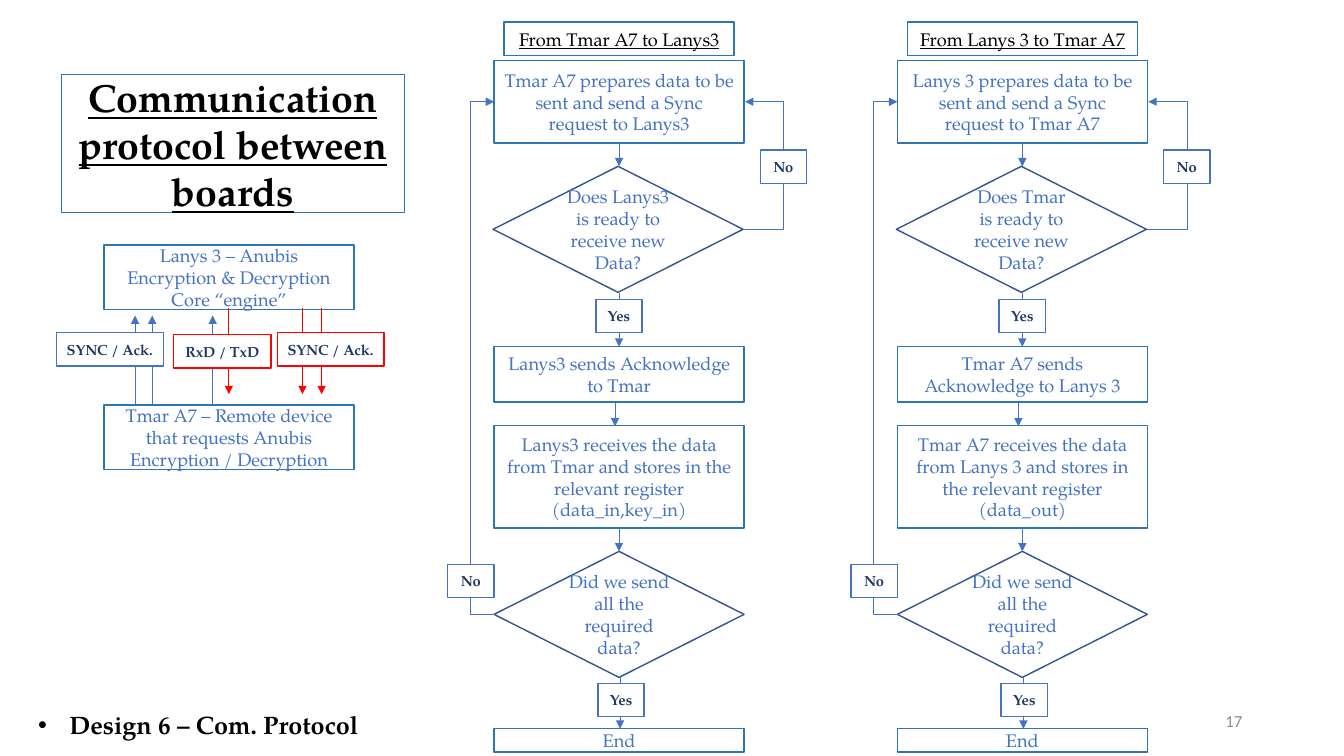
from lxml import etree
from pptx import Presentation
from pptx.dml.color import RGBColor
from pptx.enum import shapes, text
from pptx.oxml import ns
from pptx.util import Inches, Pt

FONT = "TeX Gyre Pagella"
BLUE, BOX_BLUE, DIAMOND_BLUE = "4472C4", "2E75B6", "325491"
NAVY, RED, BLACK, WHITE, GREY = "203864", "FF0000", "000000", "FFFFFF", "8C8C8C"
RECTANGLE = shapes.MSO_SHAPE.RECTANGLE
DIAMOND = shapes.MSO_SHAPE.DIAMOND
STRAIGHT = shapes.MSO_CONNECTOR.STRAIGHT
ELBOW = shapes.MSO_CONNECTOR.ELBOW

presentation = Presentation()
presentation.slide_width, presentation.slide_height = Inches(13.33), Inches(7.5)
slide = presentation.slides.add_slide(presentation.slide_layouts[5])


def add_box(place, words, kind=RECTANGLE, line=BOX_BLUE, color=BLUE, size=13,
            bold=False, underline=False, fill=None, shape=None):
    """Add an outlined box with centred text, or format the shape that is given."""
    left, top, width, height = (Inches(length) for length in place)
    if shape is None:
        shape = slide.shapes.add_shape(kind, left, top, width, height)
        shape.shadow.inherit = False
    else:
        shape.left, shape.top, shape.width, shape.height = left, top, width, height
    if fill:
        shape.fill.solid()
        shape.fill.fore_color.rgb = RGBColor.from_string(fill)
    else:
        shape.fill.background()
    shape.line.color.rgb = RGBColor.from_string(line)
    shape.line.width = Pt(1)
    frame = shape.text_frame
    frame.text = words
    frame.word_wrap = True
    frame.auto_size = text.MSO_AUTO_SIZE.NONE
    frame.vertical_anchor = text.MSO_ANCHOR.MIDDLE
    paragraph = frame.paragraphs[0]
    paragraph.alignment = text.PP_ALIGN.CENTER
    font = paragraph.font
    font.name, font.size, font.bold, font.underline = FONT, Pt(size), bold, underline
    font.color.rgb = RGBColor.from_string(color)


def add_arrow(start, end, color=BLUE, turn_x=None):
    """Add an arrow; with turn_x it is an elbow whose upright part stands there."""
    connector = slide.shapes.add_connector(
        STRAIGHT if turn_x is None else ELBOW, *(Inches(value) for value in start + end))
    connector.line.color.rgb = RGBColor.from_string(color)
    connector.line.width = Pt(0.5)
    properties = connector.element.spPr
    etree.SubElement(properties.find(ns.qn("a:ln")), ns.qn("a:tailEnd"), type="triangle")
    etree.SubElement(properties, ns.qn("a:effectLst"))
    if turn_x is not None:
        ratio = (turn_x - start[0]) / (end[0] - start[0])
        guides = properties.find(ns.qn("a:prstGeom")).get_or_add_avLst()
        etree.SubElement(guides, ns.qn("a:gd"), name="adj1", fmla=f"val {round(ratio * 100000)}")


# Title and board overview
add_box((0.61, 0.74, 3.4, 1.37), "Communication protocol between boards", color=BLACK,
        size=28, bold=True, underline=True, shape=slide.shapes.title)
add_box((1.03, 2.43, 2.48, 0.64), "Lanys 3 – Anubis Encryption & Decryption Core “engine”")
add_box((1.03, 4.02, 2.48, 0.64),
        "Tmar A7 – Remote device that requests Anubis Encryption / Decryption")
for x in (1.34, 1.51, 2.11):
    add_arrow((x, 4.02), (x, 3.13))
for x in (2.27, 3, 3.19):
    add_arrow((x, 3.06), (x, 3.91), RED)
for left, top, width, words, line in (
        (1.72, 3.32, 0.97, "RxD / TxD", RED),
        (2.75, 3.3, 1.06, "SYNC / Ack.", RED),
        (0.56, 3.3, 1.06, "SYNC / Ack.", BLUE)):
    add_box((left, top, width, 0.33), words, line=line, color=NAVY, size=10.5,
            bold=True, fill=WHITE)

# One flowchart for each direction
STEPS = (  # shape, offset from the column, top, height, outline
    (RECTANGLE, 0, 0.6, 0.82, BOX_BLUE),
    (DIAMOND, -0.01, 1.65, 1.25, DIAMOND_BLUE),
    (RECTANGLE, 0, 3.44, 0.55, BOX_BLUE),
    (RECTANGLE, 0, 4.22, 1.02, BOX_BLUE),
    (DIAMOND, 0, 5.47, 1.25, DIAMOND_BLUE),
    (RECTANGLE, 0, 7.23, 0.23, BOX_BLUE),
)
DOWN_ARROWS = ((1.24, 1.42, 1.65), (1.24, 2.91, 3.44), (1.2, 4, 4.23),
               (1.24, 5.24, 5.47), (1.25, 6.72, 7.23))
ANSWERS = ((2.64, 1.49, "No"), (1.01, 2.97, "Yes"), (-0.46, 5.6, "No"), (1.03, 6.78, "Yes"))
FLOWS = (
    (4.9, "From Tmar A7 to Lanys3", (
        "Tmar A7 prepares data to be sent and send a Sync request to Lanys3",
        "Does Lanys3 is ready to receive new Data?",
        "Lanys3 sends Acknowledge to Tmar",
        "Lanys3 receives the data from Tmar and stores in the relevant register (data_in,key_in)",
        "Did we send all the required data?",
        "End")),
    (8.9, "From Lanys 3 to Tmar A7", (
        "Lanys 3 prepares data to be sent and send a Sync request to Tmar A7",
        "Does Tmar is ready to receive new Data?",
        "Tmar A7 sends Acknowledge to Lanys 3",
        "Tmar A7 receives the data from Lanys 3 and stores in the relevant register (data_out)",
        "Did we send all the required data?",
        "End")),
)
for column, heading, step_words in FLOWS:
    add_box((column + 0.1, 0.22, 2.28, 0.33), heading, color=BLACK, underline=True)
    for (kind, offset, top, height, line), words in zip(STEPS, step_words):
        add_box((column + offset, top, 2.48, height), words, kind, line)
    for offset, top, bottom in DOWN_ARROWS:
        add_arrow((column + offset, top), (column + offset, bottom))
    add_arrow((column + 2.48, 2.28), (column + 2.49, 1.01), turn_x=column + 2.88)
    add_arrow((column + 0.01, 6.1), (column, 1.01), turn_x=column - 0.24)
    for offset, top, words in ANSWERS:
        add_box((column + offset, top, 0.46, 0.33), words, line=BLUE, color=NAVY,
                size=10.5, bold=True, fill=WHITE)

# Section name
section = slide.shapes.add_textbox(Inches(0.28), Inches(6.84), Inches(6.67), Inches(0.51))
section.text_frame.word_wrap = True
paragraph = section.text_frame.paragraphs[0]
paragraph.text = "Design 6 – Com. Protocol"
paragraph.line_spacing = 1.5
paragraph.space_after = Pt(1.4)
bullet = paragraph._p.get_or_add_pPr()
bullet.set("marL", str(Inches(0.31)))
bullet.set("indent", str(-Inches(0.31)))
etree.SubElement(bullet, ns.qn("a:buFont"), typeface="Arial")
etree.SubElement(bullet, ns.qn("a:buChar"), char="•")
paragraph.font.name, paragraph.font.size, paragraph.font.bold = FONT, Pt(18), True
paragraph.font.color.rgb = RGBColor.from_string(BLACK)

# Page number
page = slide.shapes.add_textbox(Inches(9.42), Inches(6.95), Inches(3), Inches(0.4))
page.text_frame.word_wrap = True
page.text_frame.vertical_anchor = text.MSO_ANCHOR.MIDDLE
paragraph = page.text_frame.paragraphs[0]
paragraph.text = "17"
paragraph.alignment = text.PP_ALIGN.RIGHT
paragraph.font.name, paragraph.font.size = "Calibri", Pt(12)
paragraph.font.color.rgb = RGBColor.from_string(GREY)

presentation.save("out.pptx")
